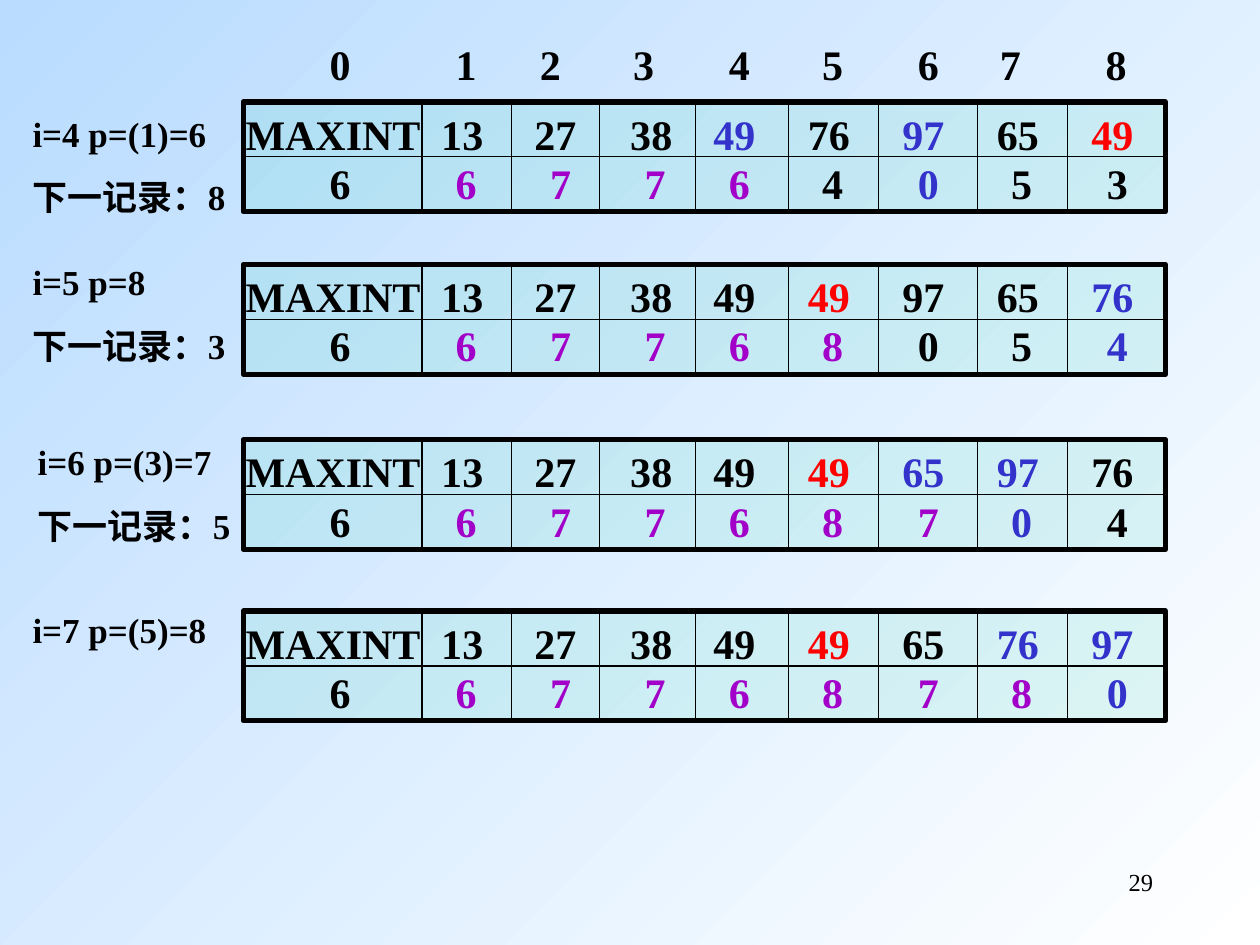
from dataclasses import dataclass
from itertools import groupby

from lxml import etree
from pptx import Presentation
from pptx.dml.color import RGBColor
from pptx.enum.shapes import MSO_CONNECTOR, MSO_SHAPE
from pptx.enum.text import PP_ALIGN
from pptx.oxml.ns import qn
from pptx.util import Inches, Pt

RIGHT = PP_ALIGN.RIGHT
RECT = MSO_SHAPE.RECTANGLE
STRAIGHT = MSO_CONNECTOR.STRAIGHT


@dataclass(frozen=True)
class Theme:
    font: str = "Times New Roman"
    black: str = "000000"
    blue: str = "3333CC"
    red: str = "FF0000"
    purple: str = "A200C8"
    cell: str = "00CC99"
    alpha: int = 10
    pale: str = "FFFFFF"
    sky: str = "B9DCFF"
    big: int = 24
    label: int = 20
    small: int = 14
    thick: float = 3
    thin: float = 0.75


THEME = Theme()
TINTS = {"k": THEME.black, "b": THEME.blue, "r": THEME.red, "p": THEME.purple}

# Grid of one list, and the column rules inside it
LEFT, WIDTH, HEIGHT = 1.93, 7.32, 0.87
RULES = [3.35, 4.06, 4.76, 5.52, 6.26, 6.97, 7.76, 8.47]

# Text rows share one box size; the stops centre each entry
ROW_LEFT, ROW_WIDTH, ROW_HEIGHT = 1.85, 7.48, 0.5
INDEX_STOPS = [0.75, 1.75, 2.42, 3.16, 3.92, 4.66, 5.42, 6.07, 6.91]
KEY_STOPS = [1.72, 2.46, 3.22, 3.88, 4.63, 5.38, 6.13, 6.88]
LINK_STOPS = [0.75, 1.75, 2.50, 3.25, 3.92, 4.66, 5.42, 6.16, 6.92]

# Each step: list top, label place, label lines, then (values, tints) per row
STEPS = [
    (0.81, (0.16, 0.84), ["i=4 p=(1)=6", "下一记录：8"],
     ("MAXINT 13 27 38 49 76 97 65 49", "kkkkbkbkr"),
     ("6 6 7 7 6 4 0 5 3", "kppppkbkk")),
    (2.10, (0.16, 2.02), ["i=5 p=8", "下一记录：3"],
     ("MAXINT 13 27 38 49 49 97 65 76", "kkkkkrkkb"),
     ("6 6 7 7 6 8 0 5 4", "kpppppkkb")),
    (3.49, (0.20, 3.45), ["i=6 p=(3)=7", "下一记录：5"],
     ("MAXINT 13 27 38 49 49 65 97 76", "kkkkkrbbk"),
     ("6 6 7 7 6 8 7 0 4", "kppppppbk")),
    (4.85, (0.16, 4.78), ["i=7 p=(5)=8"],
     ("MAXINT 13 27 38 49 49 65 76 97", "kkkkkrkbb"),
     ("6 6 7 7 6 8 7 8 0", "kpppppppb")),
]


def paint(run, size, color=THEME.black, bold=True):
    font = run.font
    font.name, font.size, font.bold = THEME.font, Pt(size), bold
    font.color.rgb = RGBColor.from_string(color)


def add_text(slide, place, lines, size, bold=True, align=None):
    frame = slide.shapes.add_textbox(*map(Inches, place)).text_frame
    frame.word_wrap = True
    frame.text = "\n".join(lines)
    for num, para in enumerate(frame.paragraphs):
        para.alignment = align
        if num:
            para.space_before = Pt(12.5)
        for run in para.runs:
            paint(run, size, bold=bold)


def add_row(slide, top, values, tints, stops):
    """Add one row of entries, each centred on its tab stop."""
    place = (ROW_LEFT, top, ROW_WIDTH, ROW_HEIGHT)
    frame = slide.shapes.add_textbox(*map(Inches, place)).text_frame
    frame.word_wrap = True
    para = frame.paragraphs[0]
    tabs = etree.SubElement(para._p.get_or_add_pPr(), qn("a:tabLst"))
    for stop in stops:
        etree.SubElement(tabs, qn("a:tab"), pos=str(Inches(stop)), algn="ctr")

    # With a stop for every entry the first one is tabbed too
    items = values.split()
    first = len(items) - len(stops)
    texts = [item if num < first else f"\t{item}"
             for num, item in enumerate(items)]
    for tint, group in groupby(zip(tints, texts), key=lambda pair: pair[0]):
        run = para.add_run()
        run.text = "".join(text for _, text in group)
        paint(run, THEME.big, TINTS[tint])


def set_line(shape, width):
    shape.line.width = Pt(width)
    shape.line.color.rgb = RGBColor.from_string(THEME.black)


def add_rule(slide, start, end):
    rule = slide.shapes.add_connector(STRAIGHT, *map(Inches, start + end))
    set_line(rule, THEME.thin)
    etree.SubElement(rule._element.spPr, qn("a:effectLst"))


def add_grid(slide, top):
    place = (LEFT, top, WIDTH, HEIGHT)
    frame = slide.shapes.add_shape(RECT, *map(Inches, place))
    frame.shadow.inherit = False
    frame.fill.solid()
    frame.fill.fore_color.rgb = RGBColor.from_string(THEME.cell)
    color = frame._element.spPr.find(".//" + qn("a:srgbClr"))
    etree.SubElement(color, qn("a:alpha"), val=str(THEME.alpha * 1000))
    set_line(frame, THEME.thick)

    middle = top + HEIGHT / 2
    add_rule(slide, (LEFT - 0.02, middle), (LEFT + WIDTH + 0.02, middle))
    for x in RULES:
        add_rule(slide, (x, top), (x, top + HEIGHT))


def add_back(slide):
    fill = slide.background.fill
    fill.gradient()
    fill.gradient_angle = 135
    for stop, color in zip(fill.gradient_stops, (THEME.pale, THEME.sky)):
        stop.color.rgb = RGBColor.from_string(color)


def main():
    deck = Presentation()
    deck.slide_width, deck.slide_height = Inches(10), Inches(7.5)
    slide = deck.slides.add_slide(deck.slide_layouts[6])
    add_back(slide)

    # Column numbers, then the state of the list after each step
    add_row(slide, 0.26, "0 1 2 3 4 5 6 7 8", "k" * 9, INDEX_STOPS)
    for top, spot, lines, keys, links in STEPS:
        add_text(slide, (*spot, 1.85, 0.94), lines, THEME.label)
        add_grid(slide, top)
        add_row(slide, top, *keys, KEY_STOPS)
        add_row(slide, top + 0.39, *links, LINK_STOPS)

    # Page number
    add_text(slide, (7.17, 6.83, 2.08, 0.5), ["29"], THEME.small,
             bold=False, align=RIGHT)
    deck.save("out.pptx")


if __name__ == "__main__":
    main()
